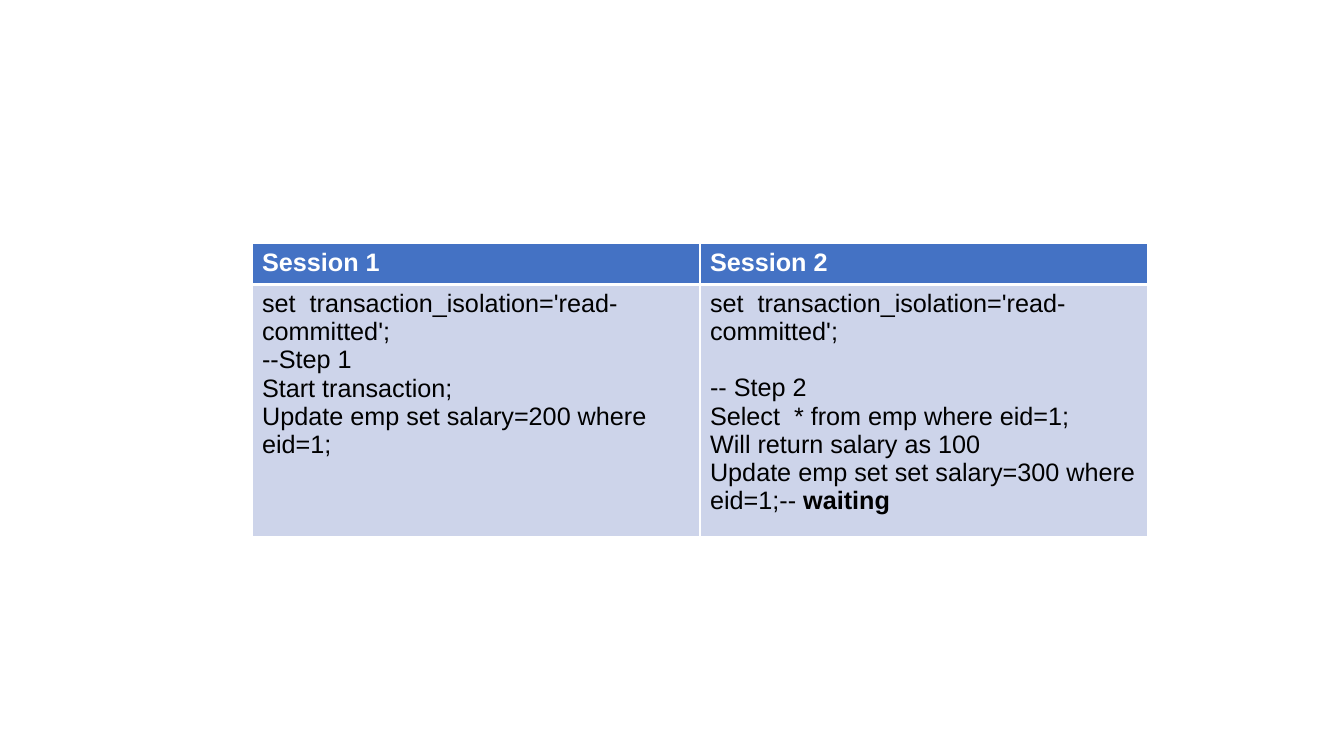
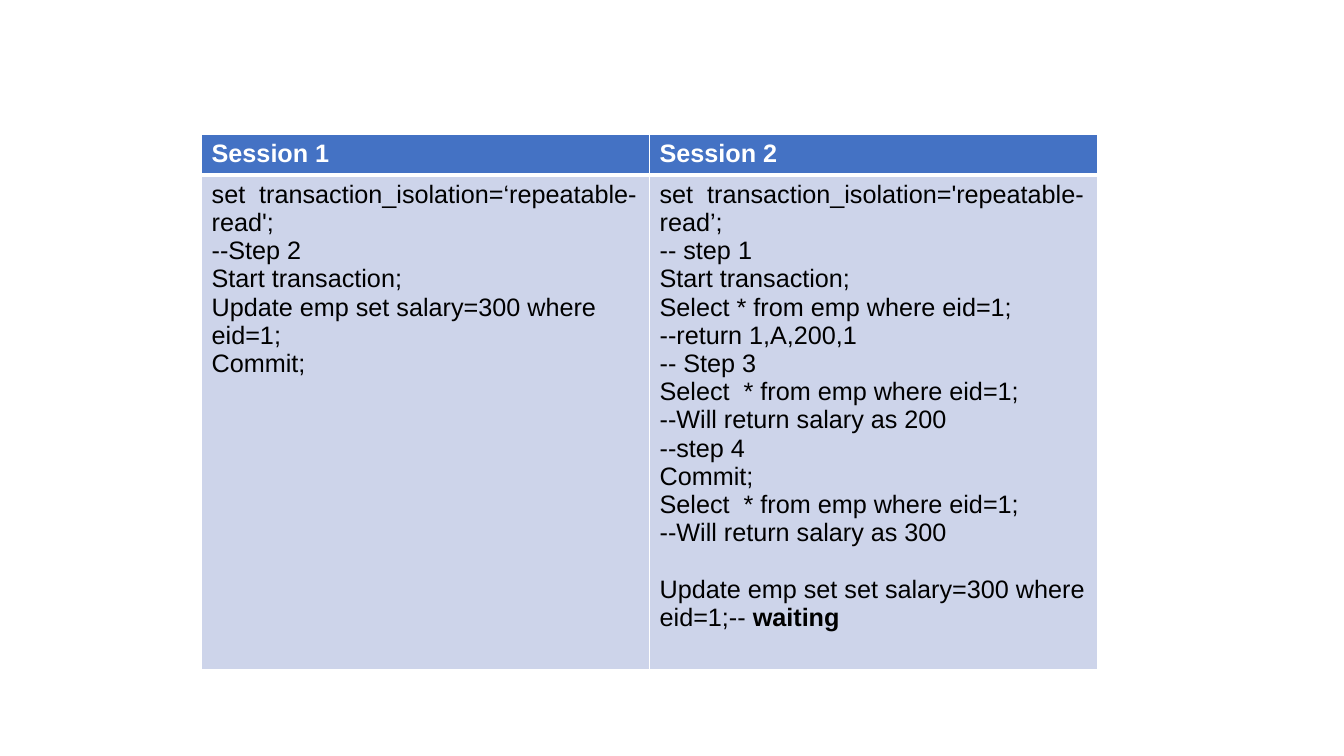
"""Builds two slides that compare concurrent database sessions in tables."""
import dataclasses

import pptx
import pptx.dml.color
import pptx.oxml.ns
import pptx.util
from lxml import etree

WIDTH = pptx.util.Inches(13.333)
HEIGHT = pptx.util.Inches(7.5)
UNIT = WIDTH / 160
COLUMN = WIDTH / 3
HEADER_ROW = 4.87

WHITE = pptx.dml.color.RGBColor(0xFF, 0xFF, 0xFF)
BLACK = pptx.dml.color.RGBColor(0x00, 0x00, 0x00)
BLUE = pptx.dml.color.RGBColor(0x44, 0x72, 0xC4)
PALE_BLUE = pptx.dml.color.RGBColor(0xCD, 0xD4, 0xEA)

FONT = "Arial"
SIZE = pptx.util.Pt(18)
LINE_GAP = pptx.util.Pt(20)
HEADERS = ("Session 1", "Session 2")


@dataclasses.dataclass
class Line:
    text: str
    bold_end: str = ""
    gap: bool = False


def units(count):
    return round(count * UNIT)


def set_borders(cell, bottom):
    tc_pr = cell._tc.get_or_add_tcPr()
    for side, points in (("L", 1), ("R", 1), ("T", 1), ("B", bottom)):
        ln = etree.SubElement(tc_pr, pptx.oxml.ns.qn(f"a:ln{side}"),
                              w=str(pptx.util.Pt(points)))
        fill = etree.SubElement(ln, pptx.oxml.ns.qn("a:solidFill"))
        etree.SubElement(fill, pptx.oxml.ns.qn("a:srgbClr"), val=str(WHITE))


def add_run(p, text, color, bold):
    r = p.add_run()
    r.text = text
    r.font.name = FONT
    r.font.size = SIZE
    r.font.color.rgb = color
    r.font.bold = bold


def fill_cell(cell, lines, fill, color, header=False):
    set_borders(cell, bottom=3 if header else 1)
    cell.fill.solid()
    cell.fill.fore_color.rgb = fill
    tf = cell.text_frame
    for i, line in enumerate(lines):
        p = tf.add_paragraph() if i else tf.paragraphs[0]
        if line.gap:
            p.space_before = LINE_GAP
        add_run(p, line.text, color, header)
        if line.bold_end:
            add_run(p, line.bold_end, color, True)


def add_session_slide(prs, left, top, body_row, sessions):
    s = prs.slides.add_slide(prs.slide_layouts[6])
    rows = (HEADER_ROW, body_row)
    table = s.shapes.add_table(len(rows), len(HEADERS), units(left), units(top),
                               round(COLUMN * len(HEADERS)), units(sum(rows))).table
    for row, height in zip(table.rows, rows):
        row.height = units(height)
    for i, (header, lines) in enumerate(zip(HEADERS, sessions)):
        table.columns[i].width = round(COLUMN)
        fill_cell(table.cell(0, i), [Line(header)], BLUE, WHITE, header=True)
        fill_cell(table.cell(1, i), lines, PALE_BLUE, BLACK)


def main():
    prs = pptx.Presentation()
    prs.slide_width, prs.slide_height = WIDTH, HEIGHT
    start = Line("Start transaction;")
    commit = Line("Commit;")
    select = Line("Select  * from emp where eid=1;")
    blocked_update = "Update emp set set salary=300 where eid=1;--"

    read_committed = Line("set  transaction_isolation='read-committed';")
    add_session_slide(prs, 30, 29, 30, (
        [read_committed,
         Line("--Step 1"),
         start,
         Line("Update emp set salary=200 where eid=1;")],
        [read_committed,
         Line("-- Step 2", gap=True),
         select,
         Line("Will return salary as 100"),
         Line(blocked_update, " waiting")],
    ))
    add_session_slide(prs, 24, 16, 58.8, (
        [Line("set  transaction_isolation=‘repeatable-read';"),
         Line("--Step 2"),
         start,
         Line("Update emp set salary=300 where eid=1;"),
         commit],
        [Line("set  transaction_isolation='repeatable-read’;"),
         Line("-- step 1"),
         start,
         Line("Select * from emp where eid=1;"),
         Line("--return 1,A,200,1"),
         Line("-- Step 3"),
         select,
         Line("--Will return salary as 200"),
         Line("--step 4"),
         commit,
         select,
         Line("--Will return salary as 300"),
         Line(blocked_update, " waiting", gap=True)],
    ))
    prs.save("out.pptx")


if __name__ == "__main__":
    main()
